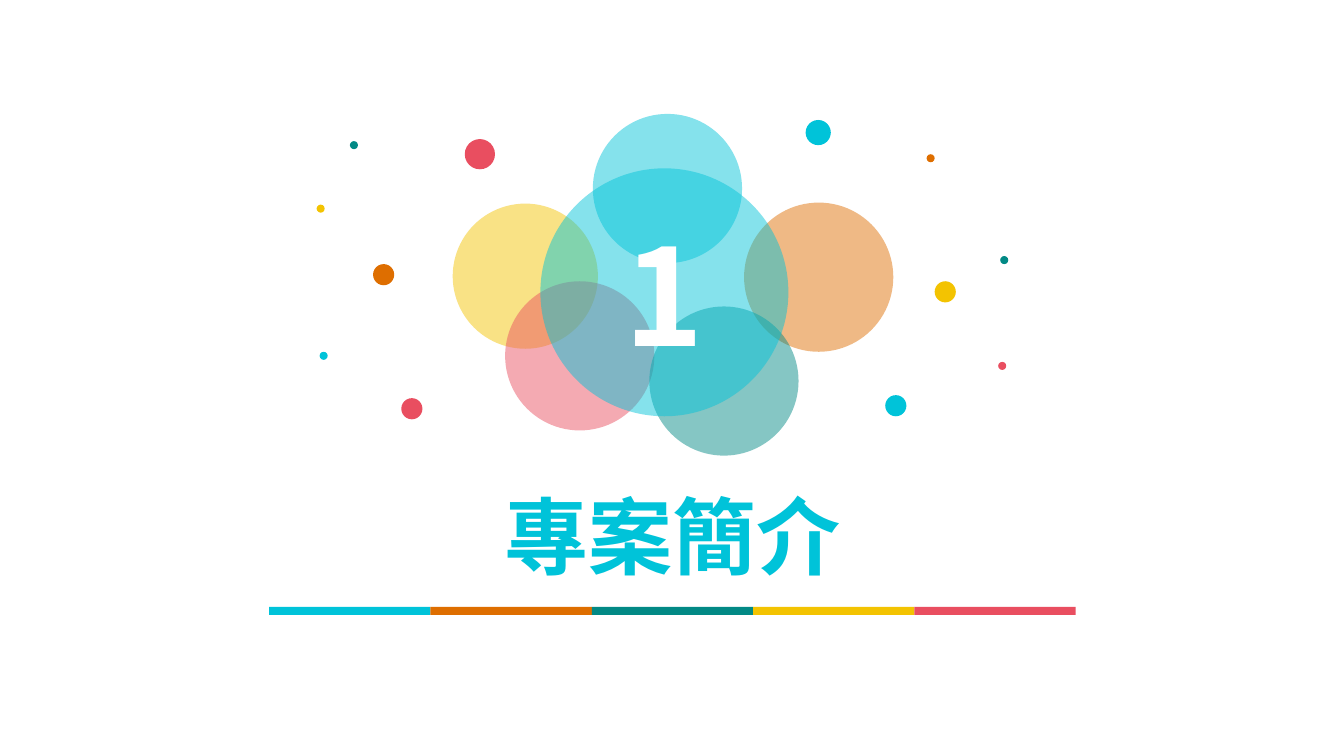
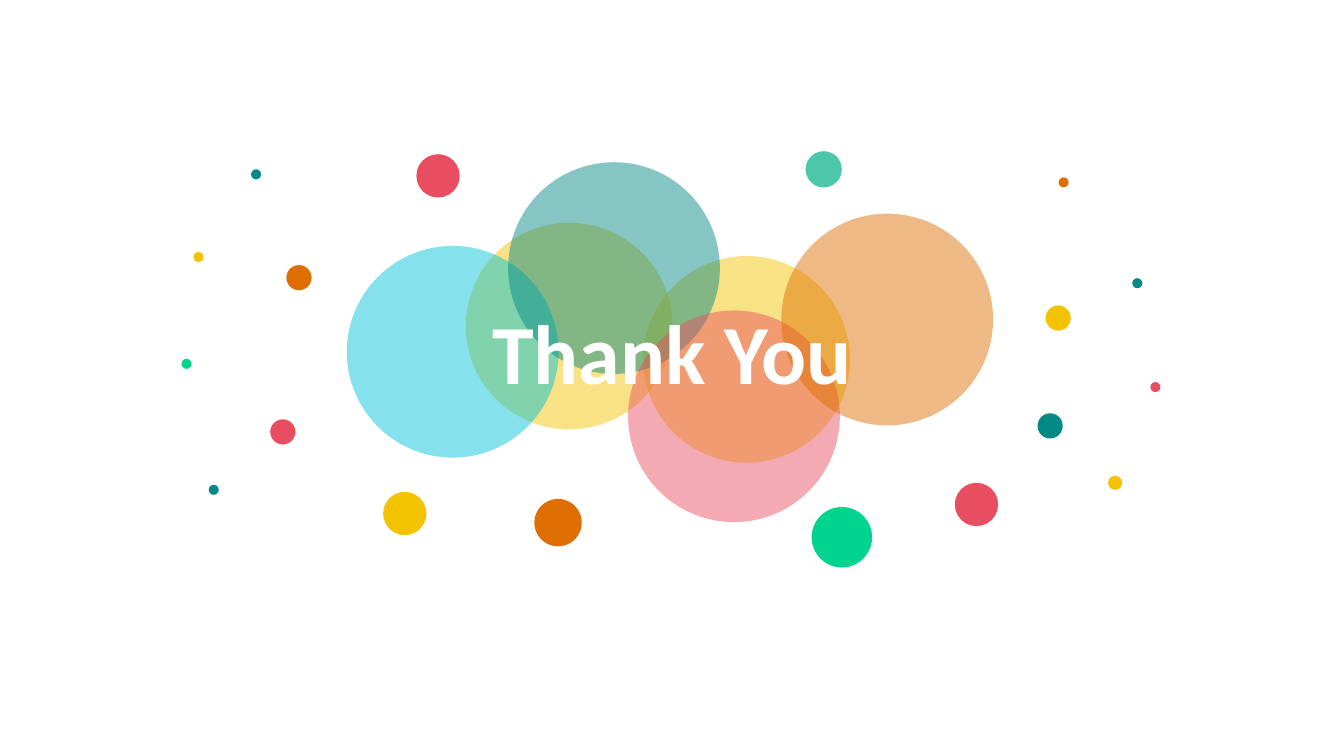
from dataclasses import dataclass

from lxml.etree import SubElement
from pptx import Presentation
from pptx.dml.color import RGBColor as RGB
from pptx.enum.shapes import MSO_SHAPE as Shape
from pptx.enum.text import MSO_ANCHOR as Anchor, MSO_AUTO_SIZE as Auto, PP_ALIGN as Align
from pptx.oxml.ns import qn
from pptx.util import Inches, Pt


@dataclass(frozen=True)
class Theme:
    cyan: str = "00C3D9"
    orange: str = "DE6E00"
    teal: str = "028985"
    yellow: str = "F3C301"
    red: str = "E94E60"
    green: str = "01D48F"
    mint: str = "4CC7AA"
    white: str = "FFFFFF"
    cjk: str = "Noto Sans CJK SC"
    latin: str = "Calibri"
    title: int = 60
    digit: int = 96
    alpha: int = 48  # opacity of the large discs, in percent


T = Theme()


def draw(shapes, kind, box, color, alpha=100):
    """Add a plain filled shape without outline or shadow."""
    shape = shapes.add_shape(kind, *map(Inches, box))
    shape.shadow.inherit = False
    shape.line.fill.background()
    shape.fill.solid()
    shape.fill.fore_color.rgb = RGB.from_string(color)
    if alpha < 100:
        tint = shape.element.spPr.find(qn("a:solidFill"))[0]
        SubElement(tint, qn("a:alpha"), val=str(alpha * 1000))
    return shape


def label(shape, text, size, face, color):
    """Put one bold, centred line of text in a shape."""
    frame = shape.text_frame
    frame.text = text
    frame.auto_size = Auto.NONE
    frame.vertical_anchor = Anchor.MIDDLE
    line = frame.paragraphs[0]
    line.alignment = Align.CENTER
    font = line.runs[0].font
    font.size, font.name, font.bold = Pt(size), face, True
    font.color.rgb = RGB.from_string(color)
    SubElement(line.runs[0].font._element, qn("a:ea"), typeface=face)


# Large translucent discs, back to front: left, top, size, colour
# Small solid dots by size: left, top, colour
# Title: text, face, colour, box
slides = [
    dict(
        discs=[
            (4.49, 2.02, 1.44, T.yellow),
            (5.01, 2.79, 1.48, T.red),
            (5.88, 1.13, 1.48, T.cyan),
            (7.38, 2.01, 1.48, T.orange),
            (6.44, 3.04, 1.48, T.teal),
        ],
        dots={
            0.08: [(3.14, 2.03, T.yellow), (3.47, 1.4, T.teal), (3.17, 3.49, T.cyan),
                   (9.19, 1.53, T.orange), (9.92, 2.54, T.teal), (9.9, 3.59, T.red)],
            0.21: [(3.7, 2.62, T.orange), (3.98, 3.95, T.red),
                   (9.27, 2.79, T.yellow), (8.78, 3.92, T.cyan)],
            0.25: [(7.99, 1.19, T.cyan)],
            0.3: [(4.61, 1.38, T.red)],
        },
        title=("專案簡介", T.cjk, T.cyan, (1.75, 4.94, 9.84, 0.74)),
    ),
    dict(
        discs=[
            (4.62, 2.21, 2.05, T.yellow),
            (6.38, 2.54, 2.05, T.yellow),
            (3.44, 2.44, 2.1, T.cyan),
            (5.04, 1.61, 2.1, T.teal),
            (6.23, 3.08, 2.1, T.red),
            (7.75, 2.12, 2.1, T.orange),
        ],
        dots={
            0.1: [(2.49, 1.68, T.teal), (1.92, 2.5, T.yellow), (1.8, 3.56, T.green),
                  (2.07, 4.81, T.teal), (10.5, 1.76, T.orange), (11.23, 2.76, T.teal),
                  (11.41, 3.79, T.red)],
            0.14: [(10.99, 4.72, T.yellow)],
            0.25: [(2.84, 2.63, T.orange), (2.68, 4.16, T.red),
                   (10.37, 3.03, T.yellow), (10.29, 4.1, T.teal)],
            0.36: [(7.99, 1.5, T.mint)],
            0.43: [(4.13, 1.53, T.red), (3.8, 4.88, T.yellow), (9.47, 4.79, T.red)],
            0.47: [(5.3, 4.95, T.orange)],
            0.6: [(8.05, 5.03, T.green)],
        },
        title=("Thank You", T.latin, T.white, (4.76, 2.93, 3.81, 1.11)),
    ),
]

deck = Presentation()
deck.slide_width, deck.slide_height = Inches(13.33), Inches(7.5)
layout = deck.slide_layouts[5]  # title only

for data in slides:
    slide = deck.slides.add_slide(layout)
    for left, top, size, color in data["discs"]:
        draw(slide.shapes, Shape.OVAL, (left, top, size, size), color, T.alpha)
    for size, dots in data["dots"].items():
        for left, top, color in dots:
            draw(slide.shapes, Shape.OVAL, (left, top, size, size), color)

    # Title, brought in front of the discs
    text, face, color, box = data["title"]
    title = slide.shapes.title
    title.left, title.top, title.width, title.height = map(Inches, box)
    label(title, text, T.title, face, color)
    title.element.getparent().append(title.element)

# Section number on the first slide
first = deck.slides[0].shapes
badge = draw(first, Shape.OVAL, (5.36, 1.67, 2.46, 2.46), T.cyan, T.alpha)
label(badge, "1", T.digit, T.cjk, T.white)

# Five-colour rule under the section title
rule = first.add_group_shape().shapes
for i, color in enumerate([T.cyan, T.orange, T.teal, T.yellow, T.red]):
    draw(rule, Shape.RECTANGLE, (2.67 + 1.6 * i, 6.02, 1.6, 0.08), color)

deck.save("out.pptx")
